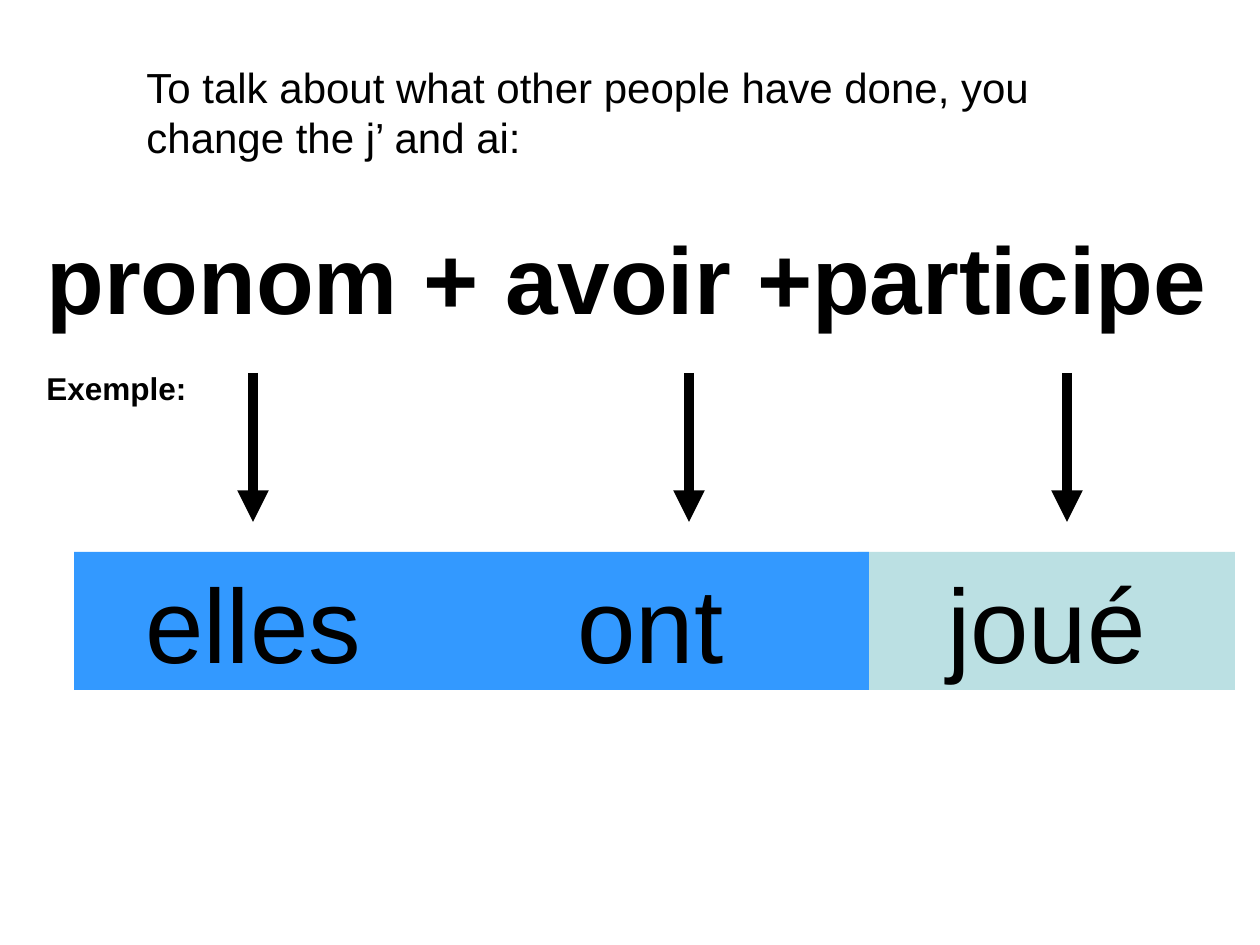
from dataclasses import dataclass

from lxml.etree import SubElement
from pptx import Presentation
from pptx.dml.color import RGBColor
from pptx.enum.shapes import MSO_CONNECTOR as Connector, MSO_SHAPE as Shape
from pptx.enum.text import MSO_ANCHOR as Anchor, MSO_AUTO_SIZE as AutoSize, PP_ALIGN as Align
from pptx.oxml.ns import qn
from pptx.util import Emu, Pt

PX_PER_INCH = 126
COLOURS = {"text": "000000", "verb": "3399FF", "participle": "BBE0E3"}
ARROW_TOP, ARROW_BOTTOM = 373, 522
WORD_TOP, WORD_HEIGHT = 552, 138


@dataclass(frozen=True)
class Label:
    text: str
    left: int
    top: int
    width: int
    height: int
    size: int
    bold: bool = False


@dataclass(frozen=True)
class Word:
    text: str
    left: int
    width: int
    fill: str


LABELS = [
    Label("To talk about what other people have done, you change the j’ and ai:",
          134, 55, 1012, 113, 24),
    Label("pronom + avoir +participe", 34, 214, 1191, 126, 54, True),
    Label("Exemple:", 34, 363, 184, 50, 18, True),
]
ARROW_CENTRES = [253, 689, 1067]
WORDS = [
    Word("joué", 858, 377, "participle"),
    Word("elles", 74, 358, "verb"),
    Word("ont", 432, 437, "verb"),
]


def px(length: int) -> Emu:
    return Emu(round(length * 914400 / PX_PER_INCH))


def colour(name: str) -> RGBColor:
    return RGBColor.from_string(COLOURS[name])


def write_text(box, text: str, size: int, bold: bool, align: Align) -> None:
    frame = box.text_frame
    frame.text = text
    frame.word_wrap = True
    frame.auto_size = AutoSize.SHAPE_TO_FIT_TEXT
    frame.vertical_anchor = Anchor.TOP
    para = frame.paragraphs[0]
    para.alignment = align
    font = para.runs[0].font
    font.name = "Arial"
    font.size = Pt(size)
    font.bold = bold
    font.color.rgb = colour("text")


def draw_label(page, label: Label) -> None:
    box = page.shapes.add_textbox(
        px(label.left), px(label.top), px(label.width), px(label.height))
    write_text(box, label.text, label.size, label.bold, Align.LEFT)


def draw_arrow(page, centre: int) -> None:
    arrow = page.shapes.add_connector(
        Connector.STRAIGHT, px(centre), px(ARROW_TOP), px(centre), px(ARROW_BOTTOM))
    arrow.line.color.rgb = colour("text")
    arrow.line.width = Pt(6)
    SubElement(arrow.line._get_or_add_ln(), qn("a:tailEnd"), type="triangle")
    SubElement(arrow._element.spPr, qn("a:effectLst"))


def draw_word(page, word: Word) -> None:
    box = page.shapes.add_shape(
        Shape.RECTANGLE, px(word.left), px(WORD_TOP), px(word.width), px(WORD_HEIGHT))
    box.shadow.inherit = False
    box.fill.solid()
    box.fill.fore_color.rgb = colour(word.fill)
    box.line.fill.background()
    write_text(box, word.text, 60, False, Align.CENTER)


def main() -> None:
    deck = Presentation()
    deck.slide_width, deck.slide_height = px(1260), px(945)
    page = deck.slides.add_slide(deck.slide_layouts[6])
    for label in LABELS:
        draw_label(page, label)
    for centre in ARROW_CENTRES:
        draw_arrow(page, centre)
    for word in WORDS:
        draw_word(page, word)
    deck.save("out.pptx")


if __name__ == "__main__":
    main()
